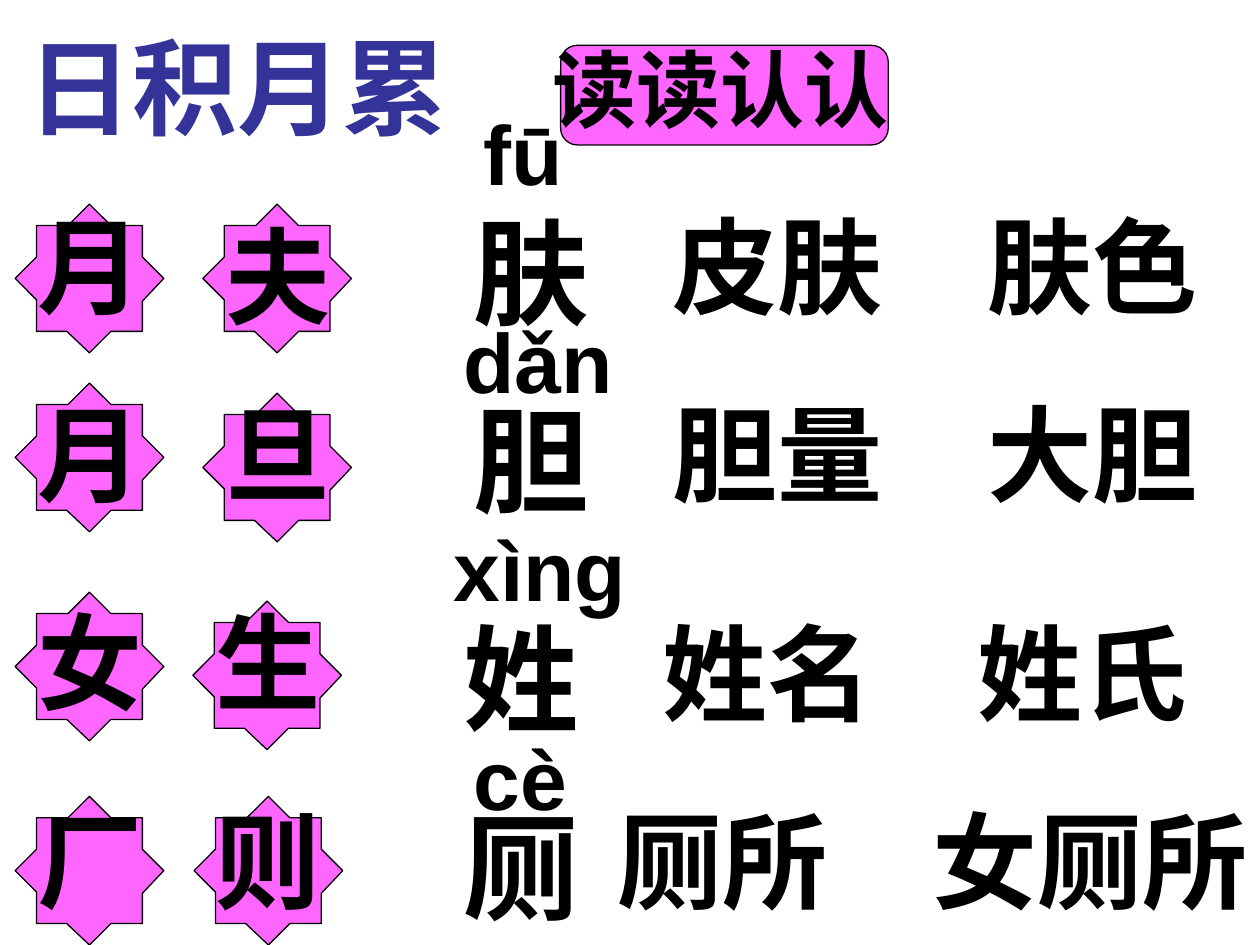
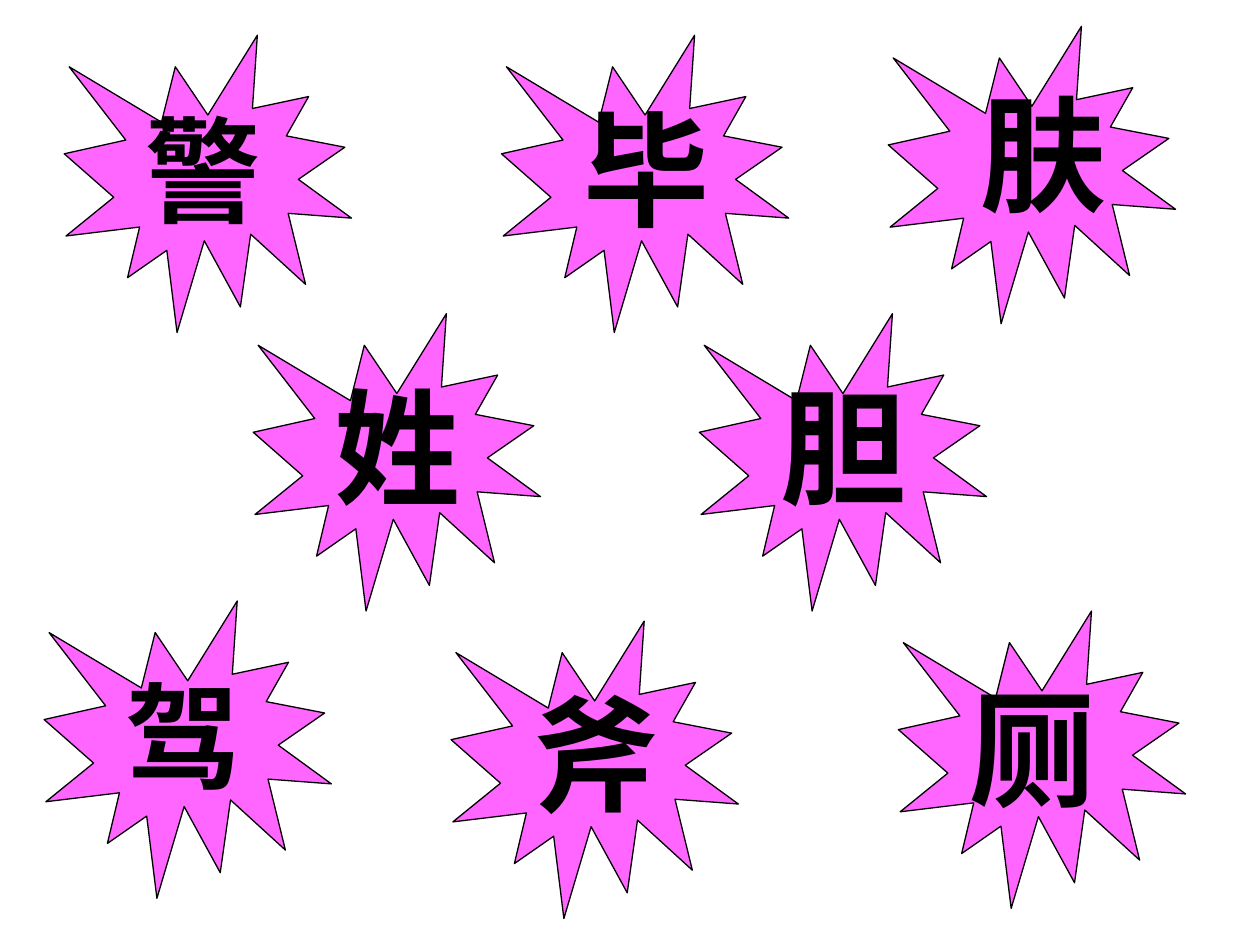
from dataclasses import dataclass
from typing import NamedTuple

from pptx import Presentation
from pptx.dml.color import RGBColor
from pptx.enum.shapes import MSO_SHAPE as Preset
from pptx.enum.text import MSO_AUTO_SIZE as AutoSize
from pptx.shapes.autoshape import Shape
from pptx.slide import Slide
from pptx.util import Inches, Pt


@dataclass(frozen=True)
class Theme:
    font: str = "Arial"
    ink: RGBColor = RGBColor(0x00, 0x00, 0x00)
    title: RGBColor = RGBColor(0x33, 0x33, 0x99)
    pink: RGBColor = RGBColor(0xFF, 0x66, 0xFF)
    outline: float = 0.75
    small: int = 48
    medium: int = 60
    large: int = 66
    huge: int = 72


class Label(NamedTuple):
    text: str
    left: float
    top: float
    width: float
    size: int


class Point(NamedTuple):
    left: float
    top: float


class CharacterRow(NamedTuple):
    """One character: its two components, its pinyin, itself, and words that use it."""
    stars: tuple[Point, Point]
    components: tuple[Label, Label]
    pinyin: Label
    character: Label
    words: Label


class Burst(NamedTuple):
    position: Point
    label: Label


THEME = Theme()
SMALL, MEDIUM, LARGE, HUGE = THEME.small, THEME.medium, THEME.large, THEME.huge
BURST_SIZE = Point(2.28, 2.36)
STAR_OUTLINE = [
    Point(0, 0.59), Point(0.17, 0.76), Point(0.17, 1.01), Point(0.41, 1.01),
    Point(0.59, 1.18), Point(0.76, 1.01), Point(1.01, 1.01), Point(1.01, 0.77),
    Point(1.18, 0.59), Point(1.01, 0.42), Point(1.01, 0.17), Point(0.76, 0.17),
    Point(0.59, 0), Point(0.42, 0.17), Point(0.17, 0.17), Point(0.17, 0.42),
]

TITLE = Label("日积月累", 0.12, 0.13, 3.7, MEDIUM)
SUBTITLE = Label("读读认认", 4.29, 0.25, 3.7, SMALL)

ROWS = [
    CharacterRow(
        (Point(0.12, 1.62), Point(1.61, 1.62)),
        (Label("月", 0.2, 1.55, 1.26, MEDIUM), Label("夫", 1.69, 1.63, 1.26, MEDIUM)),
        Label("fū", 3.74, 0.76, 1.42, SMALL),
        Label("肤", 3.66, 1.55, 1.73, LARGE),
        Label("皮肤　肤色", 5.24, 1.55, 4.76, MEDIUM),
    ),
    CharacterRow(
        (Point(0.12, 3.04), Point(1.61, 3.12)),
        (Label("月", 0.2, 3.04, 1.26, MEDIUM), Label("旦", 1.69, 3.04, 1.1, MEDIUM)),
        Label("dǎn", 3.58, 2.41, 1.97, SMALL),
        Label("胆", 3.66, 3.04, 1.65, LARGE),
        Label("胆量　大胆", 5.24, 3.04, 5.2, MEDIUM),
    ),
    CharacterRow(
        (Point(0.12, 4.7), Point(1.53, 4.77)),
        (Label("女", 0.2, 4.69, 1.18, MEDIUM), Label("生", 1.61, 4.69, 1.26, MEDIUM)),
        Label("xìng", 3.5, 4.06, 2.2, SMALL),
        Label("姓", 3.58, 4.77, 1.42, LARGE),
        Label("姓名　姓氏", 5.16, 4.78, 5.59, MEDIUM),
    ),
    CharacterRow(
        (Point(0.12, 6.32), Point(1.54, 6.32)),
        (Label("厂", 0.2, 6.27, 1.02, MEDIUM), Label("则", 1.61, 6.27, 1.34, MEDIUM)),
        Label("cè", 3.66, 5.72, 1.34, SMALL),
        Label("厕", 3.58, 6.27, 1.57, LARGE),
        Label("厕所　女厕所", 4.8, 6.27, 5.79, MEDIUM),
    ),
]

BURSTS = [
    Burst(Point(0.51, 0.28), Label("警", 1.06, 0.74, 1.18, LARGE)),
    Burst(Point(3.98, 0.28), Label("毕", 4.53, 0.68, 1.42, HUGE)),
    Burst(Point(7.05, 0.21), Label("肤", 7.68, 0.56, 1.34, HUGE)),
    Burst(Point(2.01, 2.49), Label("姓", 2.56, 2.88, 1.26, HUGE)),
    Burst(Point(5.55, 2.49), Label("胆", 6.1, 2.88, 1.5, HUGE)),
    Burst(Point(0.35, 4.77), Label("驾", 0.9, 5.23, 1.34, LARGE)),
    Burst(Point(3.58, 4.93), Label("斧", 4.13, 5.32, 1.34, HUGE)),
    Burst(Point(7.13, 4.85), Label("厕", 7.6, 5.28, 1.34, HUGE)),
]


def paint(shape: Shape) -> None:
    shape.shadow.inherit = False
    shape.fill.solid()
    shape.fill.fore_color.rgb = THEME.pink
    shape.line.color.rgb = THEME.ink
    shape.line.width = Pt(THEME.outline)


def add_preset(slide: Slide, preset: Preset, position: Point, size: Point) -> None:
    paint(slide.shapes.add_shape(preset, *map(Inches, position + size)))


def add_star(slide: Slide, position: Point) -> None:
    corners = [
        (Inches(position.left + corner.left), Inches(position.top + corner.top))
        for corner in STAR_OUTLINE
    ]
    builder = slide.shapes.build_freeform(*corners[0])
    builder.add_line_segments(corners[1:], close=True)
    paint(builder.convert_to_shape())


def add_label(slide: Slide, label: Label, color: RGBColor = THEME.ink) -> None:
    """Add one bold line in a box as tall as the line and its insets."""
    height = label.size * 1.2 / 72 + 0.1
    box = slide.shapes.add_textbox(
        Inches(label.left), Inches(label.top), Inches(label.width), Inches(height)
    )
    frame = box.text_frame
    frame.word_wrap = True
    frame.auto_size = AutoSize.SHAPE_TO_FIT_TEXT
    frame.text = label.text
    font = frame.paragraphs[0].runs[0].font
    font.name = THEME.font
    font.size = Pt(label.size)
    font.bold = True
    font.color.rgb = color


def build_reading_slide(slide: Slide) -> None:
    add_label(slide, TITLE, THEME.title)
    add_preset(slide, Preset.ROUNDED_RECTANGLE, Point(4.45, 0.36), Point(2.6, 0.79))
    add_label(slide, SUBTITLE)
    for row in ROWS:
        for star in row.stars:
            add_star(slide, star)
        for label in (*row.components, row.pinyin, row.character, row.words):
            add_label(slide, label)


def build_review_slide(slide: Slide) -> None:
    for burst in BURSTS:
        add_preset(slide, Preset.EXPLOSION1, burst.position, BURST_SIZE)
    for burst in BURSTS:
        add_label(slide, burst.label)


def main() -> None:
    presentation = Presentation()
    presentation.slide_width = Inches(10)
    presentation.slide_height = Inches(7.5)
    blank = presentation.slide_layouts[6]
    for build in (build_reading_slide, build_review_slide):
        build(presentation.slides.add_slide(blank))
    presentation.save("out.pptx")


if __name__ == "__main__":
    main()
